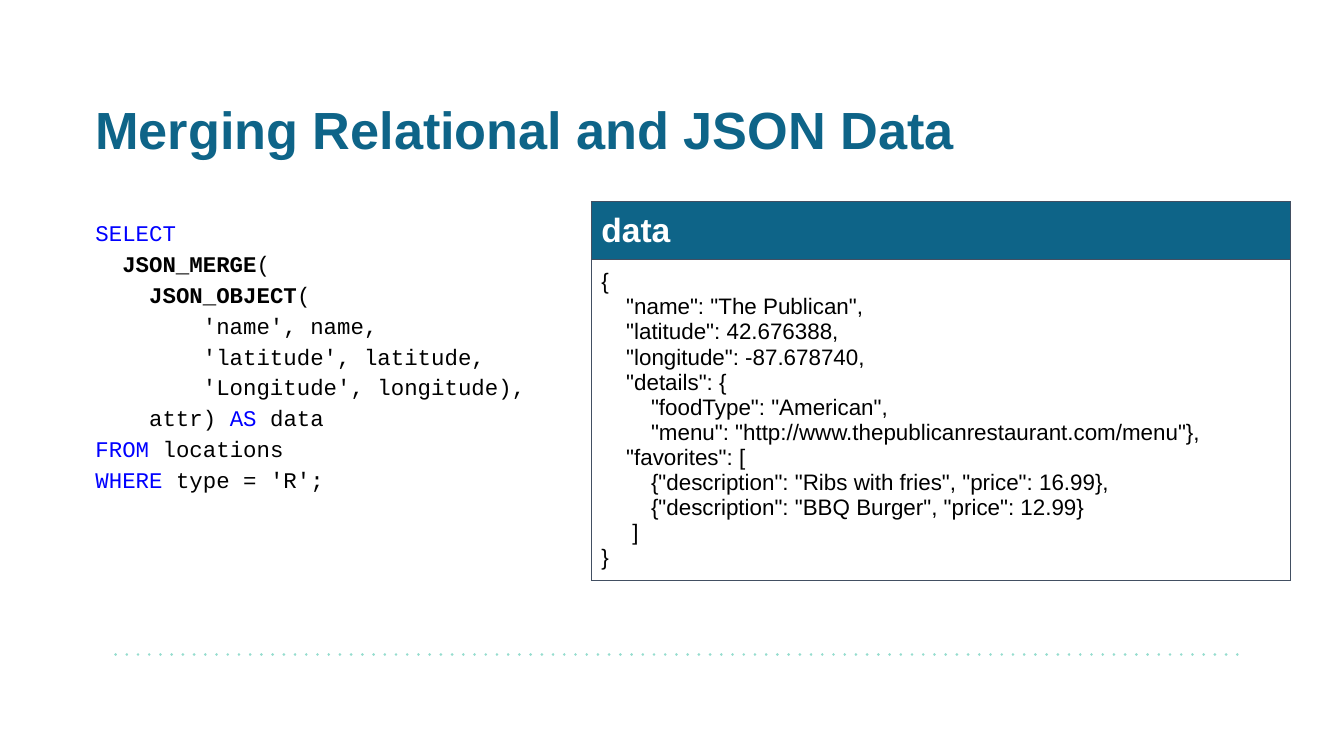
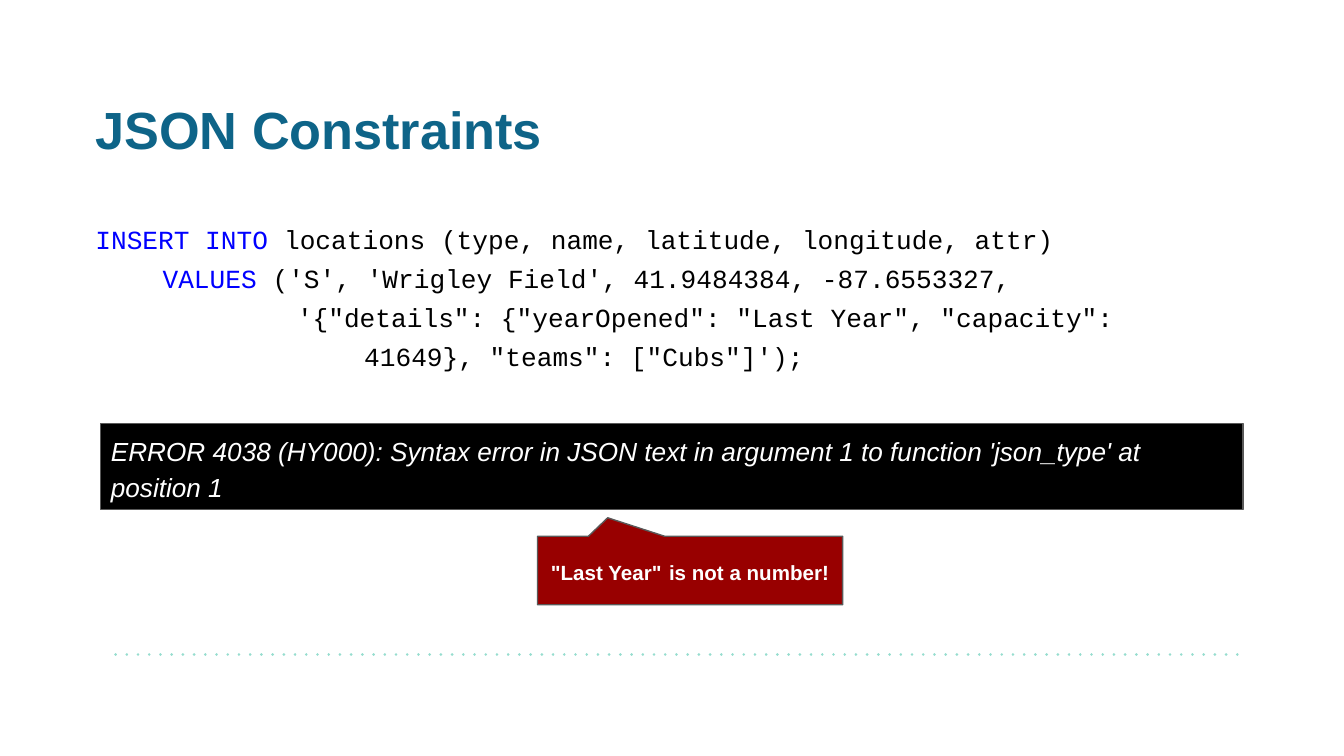
import pptx
import pptx.util
import pptx.dml.color
import pptx.enum.shapes
import pptx.enum.text
import pptx.oxml
import pptx.oxml.ns
from lxml import etree

Inches, Pt = pptx.util.Inches, pptx.util.Pt
SHAPE = pptx.enum.shapes.MSO_SHAPE
ANCHOR = pptx.enum.text.MSO_ANCHOR
ALIGN = pptx.enum.text.PP_ALIGN
qn = pptx.oxml.ns.qn

# Shared look
TEAL, MINT, SLATE, GREY = "0E6488", "96DDCF", "424F62", "595959"
WHITE, BLACK, BLUE, RED = "FFFFFF", "000000", "0000FF", "980000"
TITLE = dict(name="Arial", size=Pt(28), bold=True, italic=False)
CODE = dict(name="Courier New", bold=False, italic=False)
TITLE_BOX = (0.61, 0.62, 8.54, 0.63)
TEXT_INSET, PANEL_INSET = Inches(0.1), Pt(5.4)
SIDES = ("margin_left", "margin_top", "margin_right", "margin_bottom")
STYLES = {"": (BLACK, False), "key": (BLUE, False), "func": (BLACK, True)}

# Slide wording: each code line is a list of (text, style) runs
MERGE_SQL = [
    [("SELECT", "key")],
    [("  JSON_MERGE", "func"), ("(", "")],
    [("    ", ""), ("JSON_OBJECT", "func"), ("(", "")],
    [("        'name', name,", "")],
    [("        'latitude', latitude,", "")],
    [("        'Longitude', longitude),", "")],
    [("    attr) ", ""), ("AS", "key"), (" data", "")],
    [("FROM ", "key"), ("locations", "")],
    [("WHERE", "key"), (" type = 'R';", "")],
]
MERGED_JSON = """{
    "name": "The Publican",
    "latitude": 42.676388,
    "longitude": -87.678740,
    "details": {
        "foodType": "American",
        "menu": "http://www.thepublicanrestaurant.com/menu"},
    "favorites": [
        {"description": "Ribs with fries", "price": 16.99},
        {"description": "BBQ Burger", "price": 12.99}
     ]
}""".split("\n")
INSERT_SQL = [
    [("INSERT INTO", "key"), (" locations (type, name, latitude, longitude, attr)", "")],
    [("VALUES", "key"), (" ('S', 'Wrigley Field', 41.9484384, -87.6553327,", "")],
    [("'{\"details\": {\"yearOpened\": \"Last Year\", \"capacity\":", "")],
    [("41649}, \"teams\": [\"Cubs\"]');", "")],
]
INSERT_INDENTS = [(0, 0), (0, 0.5), (1.5, 0), (1.5, 0.5)]
ERROR = ("ERROR 4038 (HY000): Syntax error in JSON text in argument 1 "
         "to function 'json_type' at position 1")


def rgb(hex_color):
    return pptx.dml.color.RGBColor.from_string(hex_color)


def apply(obj, values):
    for name, value in values.items():
        setattr(obj, name, value)


def add_run(p, text, color, **font):
    r = p.add_run()
    r.text = text
    apply(r.font, font)
    r.font.color.rgb = rgb(color)


def place(sp, box):
    apply(sp, dict(zip(("left", "top", "width", "height"), map(Inches, box))))


def set_frame(tf, inset, anchor):
    apply(tf, dict(dict.fromkeys(SIDES, inset), word_wrap=True, vertical_anchor=anchor,
                   auto_size=pptx.enum.text.MSO_AUTO_SIZE.NONE))


def next_paragraph(tf, index):
    return tf.paragraphs[0] if index == 0 else tf.add_paragraph()


def add_footer_rule(s, left, right, y):
    """Dotted line above the bottom margin."""
    rule = s.shapes.add_connector(pptx.enum.shapes.MSO_CONNECTOR.STRAIGHT,
                                  *map(Inches, (left, y, right, y)))
    rule.line.color.rgb = rgb(MINT)
    rule.line.width = Pt(1.5)
    sp_pr = rule._element.spPr
    ln = sp_pr.find(qn("a:ln"))
    ln.set("cap", "rnd")
    etree.SubElement(ln, qn("a:prstDash"), val="dot")
    etree.SubElement(sp_pr, qn("a:effectLst"))


def add_base_slide(prs, title):
    """Slide with the shared title and footer rule."""
    s = prs.slides.add_slide(prs.slide_layouts[1])
    add_footer_rule(s, 0.86, 9.27, 4.87)
    sp = s.shapes.title
    place(sp, TITLE_BOX)
    set_frame(sp.text_frame, TEXT_INSET, ANCHOR.TOP)
    p = sp.text_frame.paragraphs[0]
    p.alignment = ALIGN.LEFT
    add_run(p, title, TEAL, **TITLE)
    return s


def fill_code(s, box, lines, size, spacing, indents=None):
    """Code listing in the body placeholder."""
    sp = s.placeholders[1]
    place(sp, box)
    tf = sp.text_frame
    set_frame(tf, TEXT_INSET, ANCHOR.TOP)
    for i, line in enumerate(lines):
        p = next_paragraph(tf, i)
        apply(p, dict(line_spacing=spacing, space_before=Pt(0), space_after=Pt(0),
                      alignment=ALIGN.LEFT))
        left, first = indents[i] if indents else (0, 0)
        p_pr = p._p.get_or_add_pPr()
        p_pr.set("marL", str(Inches(left)))
        p_pr.set("indent", str(Inches(first)))
        etree.SubElement(p_pr, qn("a:buNone"))
        for text, style in line:
            color, bold = STYLES[style]
            add_run(p, text, color, **dict(CODE, size=Pt(size), bold=bold))


def add_border(cell, color, width):
    tc_pr = cell._tc.get_or_add_tcPr()
    for i, side in enumerate(("lnL", "lnR", "lnT", "lnB")):
        ln = etree.Element(qn("a:" + side), w=str(Pt(width)))
        fill = etree.SubElement(ln, qn("a:solidFill"))
        etree.SubElement(fill, qn("a:srgbClr"), val=color)
        tc_pr.insert(i, ln)


def add_result_table(s, box, header, lines, header_height=0.43, columns=4):
    """One-field query result: header row over the JSON value."""
    x, y, w, h = box
    table = s.shapes.add_table(2, columns, *map(Inches, box)).table
    apply(table, dict(first_row=False, horz_banding=False))
    for col in table.columns:
        col.width = Inches(w / columns)
    rows = [(header_height, [header], TEAL, WHITE, 18, True),
            (h - header_height, lines, None, BLACK, 12, False)]
    for i, (height, texts, fill, color, size, bold) in enumerate(rows):
        table.rows[i].height = Inches(height)
        for cell in table.rows[i].cells:
            if fill:
                cell.fill.solid()
                cell.fill.fore_color.rgb = rgb(fill)
            else:
                cell.fill.background()
            add_border(cell, SLATE, 0.75)
        cell = table.cell(i, 0)
        cell.merge(table.cell(i, columns - 1))
        apply(cell, dict.fromkeys(SIDES, PANEL_INSET))
        for j, text in enumerate(texts):
            add_run(next_paragraph(cell.text_frame, j), text, color,
                    name="Arial", size=Pt(size), bold=bold)


def add_panel(s, kind, box, fill):
    """Filled, outlined shape; returns it with its first paragraph."""
    sp = s.shapes.add_shape(kind, *map(Inches, box))
    sp.shadow.inherit = False
    sp.fill.solid()
    sp.fill.fore_color.rgb = rgb(fill)
    sp.line.color.rgb = rgb(GREY)
    sp.line.width = Pt(0.75)
    set_frame(sp.text_frame, PANEL_INSET, ANCHOR.MIDDLE)
    return sp, sp.text_frame.paragraphs[0]


def add_error_bar(s, box, text):
    _, p = add_panel(s, SHAPE.RECTANGLE, box, BLACK)
    apply(p, dict(alignment=ALIGN.LEFT, line_spacing=1.15))
    add_run(p, text, WHITE, name="Arial", size=Pt(14), italic=True)


def add_callout(s, box, value, remark):
    sp, p = add_panel(s, SHAPE.ROUNDED_RECTANGULAR_CALLOUT, box, RED)
    for i, adjustment in enumerate((-0.27, -0.77, 0)):
        sp.adjustments[i] = adjustment
    p.alignment = ALIGN.CENTER
    for text, color, size in ((value, WHITE, 11), (" ", BLACK, 14), (remark, WHITE, 11)):
        add_run(p, text, color, name="Arial", size=Pt(size), bold=True)


def build_merge_slide(prs):
    s = add_base_slide(prs, "Merging Relational and JSON Data")
    fill_code(s, (0.61, 1.5, 3.64, 3.14), MERGE_SQL, 12, 1.15)
    add_result_table(s, (4.4, 1.5, 5.2, 2.82), "data", MERGED_JSON)


def build_constraints_slide(prs):
    s = add_base_slide(prs, "JSON Constraints")
    fill_code(s, (0.61, 1.5, 8.54, 1.27), INSERT_SQL, 14, 1.25, INSERT_INDENTS)
    add_error_bar(s, (0.75, 3.15, 8.5, 0.64), ERROR)
    add_callout(s, (4, 3.99, 2.27, 0.51), '"Last Year"', "is not a number!")


def main():
    prs = pptx.Presentation()
    width = Inches(10)
    apply(prs, dict(slide_width=width, slide_height=width * 9 // 16))
    build_merge_slide(prs)
    build_constraints_slide(prs)
    prs.save("out.pptx")


if __name__ == "__main__":
    main()
